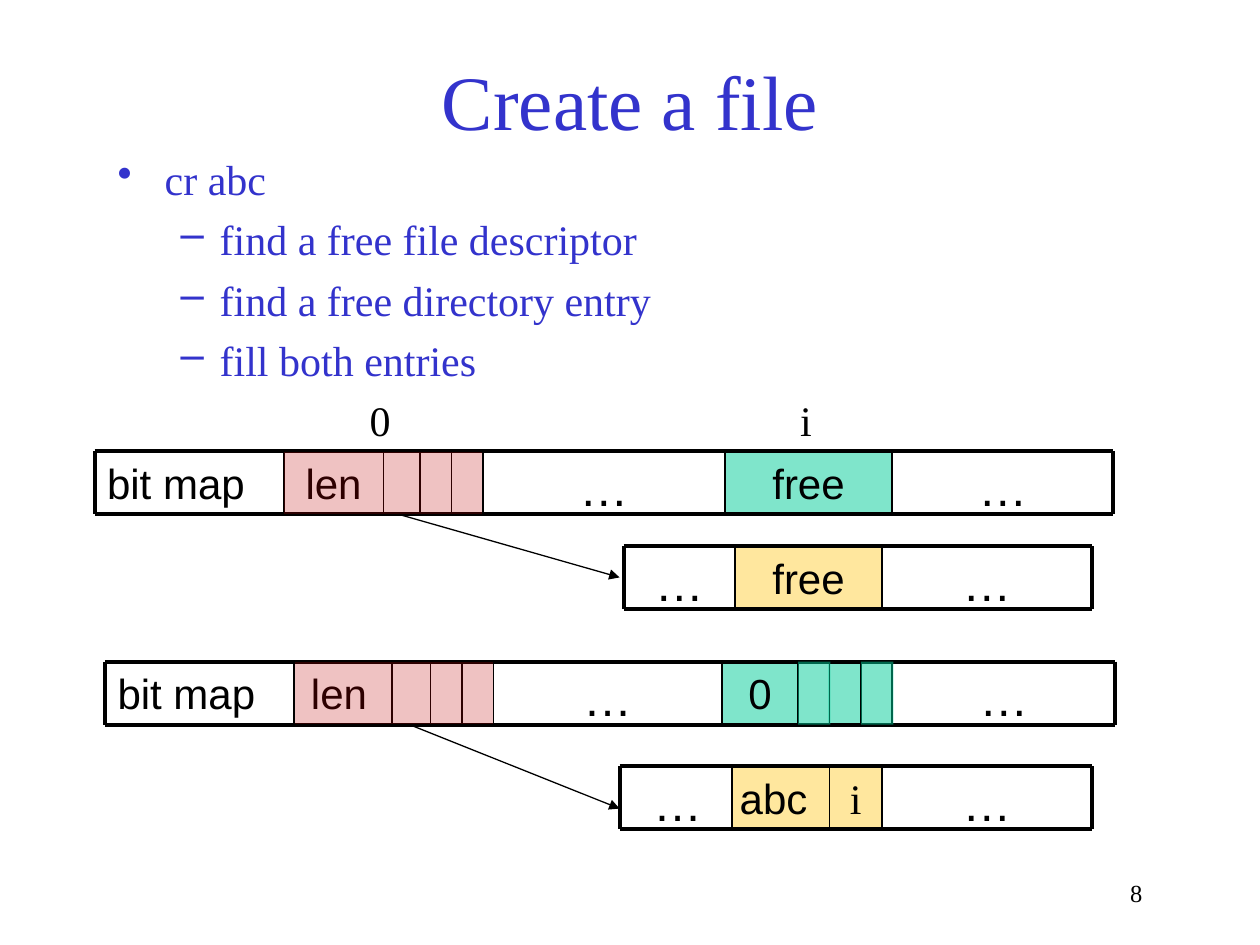
import pptx
import pptx.util
import pptx.dml.color
import pptx.enum.dml
import pptx.enum.shapes
import pptx.enum.text
import pptx.oxml
import pptx.oxml.ns
import lxml.etree

Cm = pptx.util.Cm
Pt = pptx.util.Pt
RGBColor = pptx.dml.color.RGBColor
ALIGN = pptx.enum.text.PP_ALIGN
ANCHOR = pptx.enum.text.MSO_ANCHOR
qn = pptx.oxml.ns.qn

BLACK = RGBColor(0x00, 0x00, 0x00)
BLUE = RGBColor(0x33, 0x33, 0xCC)
RED = RGBColor(0xC0, 0x00, 0x00)
GREEN = RGBColor(0x00, 0xCC, 0x99)
YELLOW = RGBColor(0xFF, 0xC0, 0x00)
OPACITY = {RED: 24, GREEN: 50, YELLOW: 38}
SERIF = "Times New Roman"
SANS = "Arial"
ROW_HEIGHT = 1.27


def add_text(shapes, box, lines, size, font=SERIF, color=BLACK, align=ALIGN.LEFT,
             anchor=ANCHOR.TOP, space=0):
    frame = shapes.add_textbox(*map(Cm, box)).text_frame
    for name, value in {"word_wrap": True, "vertical_anchor": anchor}.items():
        setattr(frame, name, value)
    frame.text = "\n".join(lines)
    for paragraph in frame.paragraphs:
        for name, value in {"alignment": align, "space_before": Pt(space)}.items():
            setattr(paragraph, name, value)
        for name, value in {"size": Pt(size), "name": font}.items():
            setattr(paragraph.font, name, value)
        paragraph.font.color.rgb = color
    return frame


def add_line(shapes, start, end, width):
    line = shapes.add_connector(pptx.enum.shapes.MSO_CONNECTOR.STRAIGHT, *map(Cm, start + end))
    line.line.color.rgb = BLACK
    line.line.width = Pt(width)
    lxml.etree.SubElement(line._element.spPr, qn("a:effectLst"))
    return line


deck = pptx.Presentation()
for name, value in {"slide_width": Cm(25.4), "slide_height": Cm(19.05)}.items():
    setattr(deck, name, value)
slide = deck.slides.add_slide(deck.slide_layouts[6])

add_text(slide.shapes, (17.99, 17.57, 5.29, 1.06), ["8"], 14, align=ALIGN.RIGHT)
add_text(slide.shapes, (1.91, 0.64, 21.59, 2.75), ["Create a file"], 44, color=BLUE,
         align=ALIGN.CENTER, anchor=ANCHOR.MIDDLE)
steps = add_text(
    slide.shapes, (2.12, 2.96, 21.59, 4.66),
    ["cr abc", "find a free file descriptor", "find a free directory entry", "fill both entries"],
    24, color=BLUE, space=5.8)
for index, step in enumerate(steps.paragraphs):
    step.level = min(index, 1)
    margin, hanging, bullet = [(0.95, 0.95, "•"), (2.06, 0.79, "–")][step.level]
    properties = step._p.get_or_add_pPr()
    properties.set("marL", str(Cm(margin)))
    properties.set("indent", str(-Cm(hanging)))
    bullet_color = lxml.etree.SubElement(properties, qn("a:buClr"))
    lxml.etree.SubElement(bullet_color, qn("a:srgbClr"), val=str(BLUE))
    lxml.etree.SubElement(properties, qn("a:buChar"), char=bullet)

rows = [
    {"top": 9.1,
     "edges": [1.91, 5.72, 7.73, 8.47, 9.1, 9.74, 14.61, 17.99, 22.44],
     "labels": [("bit map", 1.91, 5.72), ("len", 5.72, 7.73), ("…", 9.74, 14.61),
                ("free", 14.61, 17.99), ("…", 17.99, 22.44)],
     "under": [(14.61, 17.99, GREEN)],
     "over": [(5.72, 9.74, RED)]},
    {"top": 13.34,
     "edges": [2.12, 5.93, 7.9, 8.68, 9.31, 9.95, 14.55, 16.09, 16.72, 17.36, 17.99, 22.48],
     "labels": [("bit map", 2.12, 5.77), ("len", 5.77, 7.9), ("…", 9.95, 14.55),
                ("0", 14.55, 16.09), ("…", 17.99, 22.48)],
     "under": [(14.55, 16.09, GREEN), (16.7, 17.36, GREEN)],
     "over": [(16.09, 16.74, GREEN), (17.36, 18.01, GREEN), (5.93, 9.95, RED)]},
    {"top": 11.01,
     "edges": [12.57, 14.82, 17.78, 22.01],
     "labels": [("…", 12.57, 14.82), ("free", 14.82, 17.78), ("…", 17.78, 22.01)],
     "under": [(14.82, 17.78, YELLOW)],
     "over": []},
    {"top": 15.45,
     "edges": [12.49, 14.75, 16.72, 17.78, 22.01],
     "labels": [("…", 12.49, 14.83), ("abc", 14.6, 16.59), ("i", 16.72, 17.78),
                ("…", 17.78, 22.01)],
     "under": [(14.75, 17.78, YELLOW)],
     "over": []},
]

for row in rows:
    top, edges = row["top"], row["edges"]
    bottom = top + ROW_HEIGHT
    cells = slide.shapes.add_group_shape().shapes
    for layer in ("under", "over"):
        for left, right, color in row[layer]:
            tint = cells.add_shape(pptx.enum.shapes.MSO_SHAPE.RECTANGLE,
                                   *map(Cm, (left, top, right - left, ROW_HEIGHT)))
            tint.shadow.inherit = False
            tint.fill.solid()
            tint.fill.fore_color.rgb = color
            shade = tint._element.spPr.find(".//" + qn("a:srgbClr"))
            lxml.etree.SubElement(shade, qn("a:alpha"), val=str(OPACITY[color] * 1000))
            if color == GREEN:
                tint.line.fill.background()
            else:
                tint.line.color.rgb = BLACK
                tint.line.width = Pt(0.75)
        if layer == "over":
            continue
        for label, left, right in row["labels"]:
            add_text(cells, (left, top, right - left, ROW_HEIGHT), [label],
                     28 if label == "…" else 24, SERIF if label == "i" else SANS,
                     align=ALIGN.LEFT if label == "bit map" else ALIGN.CENTER, space=4.8)
        for y in (top, bottom):
            add_line(cells, (edges[0], y), (edges[-1], y), 2.25)
        for x in edges:
            add_line(cells, (x, top), (x, bottom), 2.25 if x in (edges[0], edges[-1]) else 1)

for start, end in [((8.04, 10.37), (12.49, 11.64)), ((8.26, 14.61), (12.49, 16.3))]:
    pointer = add_line(slide.shapes, start, end, 0.75)
    lxml.etree.SubElement(pointer.line._get_or_add_ln(), qn("a:tailEnd"), type="triangle")

for number, left in [("0", 7.2), ("i", 15.88)]:
    add_text(slide.shapes, (left, 7.83, 0.95, 1.27), [number], 24)

deck.save("out.pptx")
